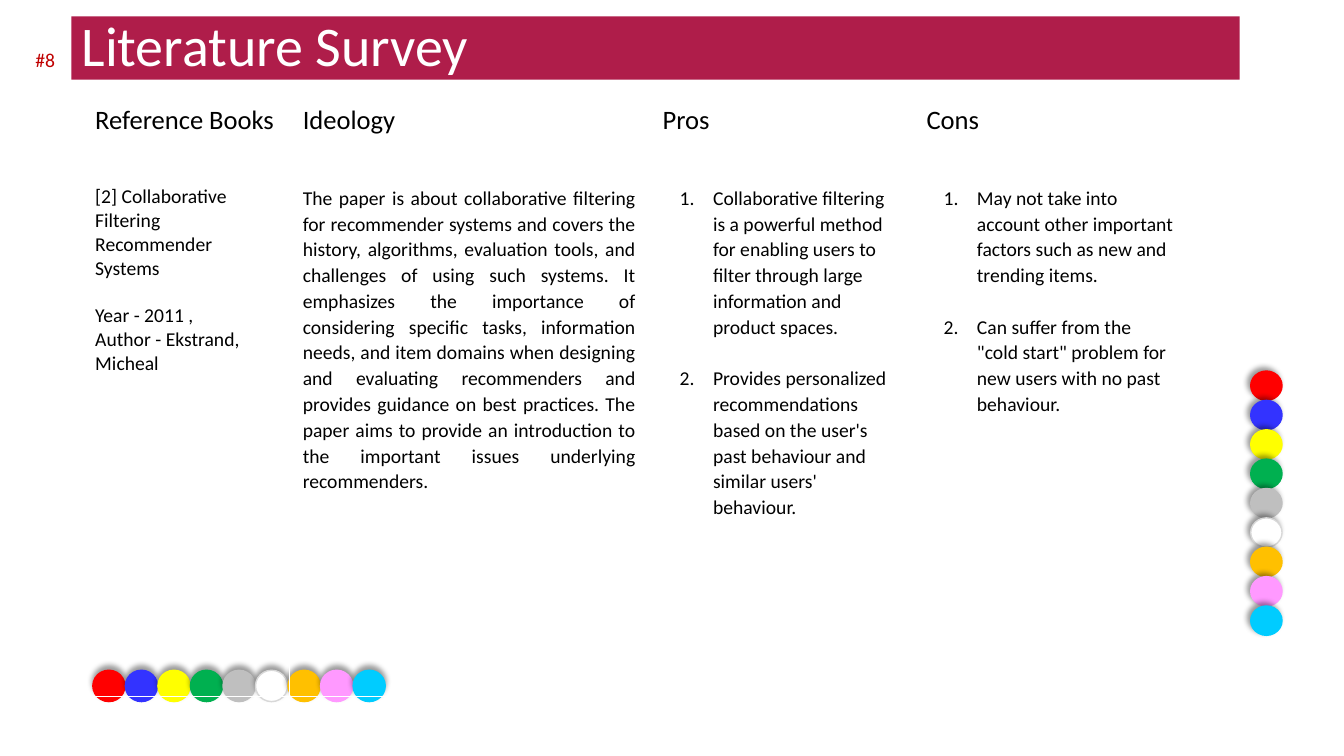
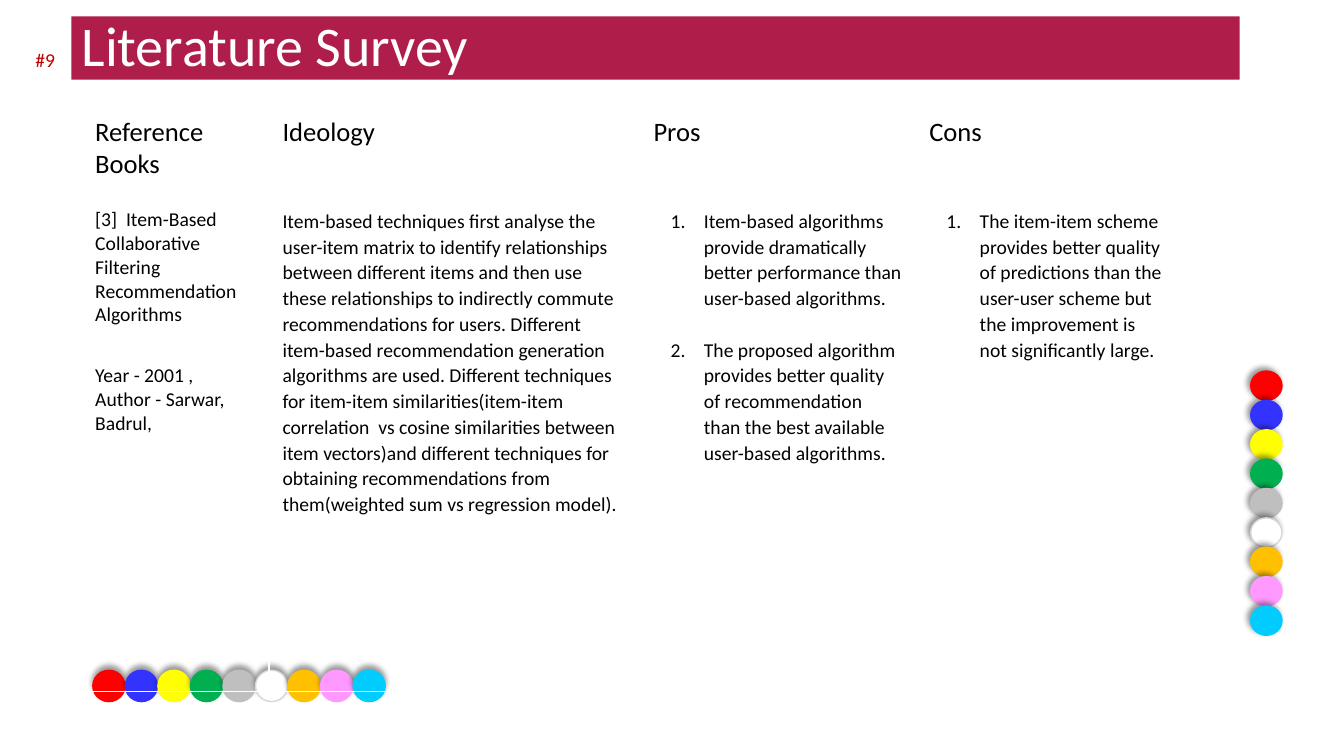
import lxml.etree
import pptx
import pptx.dml.color
import pptx.enum.shapes
import pptx.enum.text
import pptx.oxml.ns
import pptx.util

Cm = pptx.util.Cm
Pt = pptx.util.Pt
qn = pptx.oxml.ns.qn
ALIGN = pptx.enum.text.PP_ALIGN
ANCHOR = pptx.enum.text.MSO_ANCHOR

# Shared look
FONT = "Calibri"
BLACK, WHITE, CRIMSON, NUMBER_RED = "000000", "FFFFFF", "AF1D4A", "C00000"
DOT_COLOURS = ["FF0000", "3333FF", "FFFF00", "00B050", "BFBFBF",
               "FFFFFF", "FFC000", "FF99FF", "00CCFF"]
WHITE_DOT_LINE = "D8D8D8"
HEADINGS = ["Reference Books", "Ideology", "Pros", "Cons"]
CELL_MARGIN = Cm(0.34)
HEADING_SIZE, BODY_SIZE = 19, 14
LOOSE_SPACING = 1.08
LIST_GAP = 18.4

SURVEYS = [
    {
        "number": "#8",
        "top": 2.29,
        "columns": [5.23, 9.07, 6.65, 6.96],
        "rows": [2.03, 13.23],
        "reference": "[2] Collaborative Filtering Recommender Systems",
        "source": ["Year - 2011 ,", "Author - Ekstrand, Micheal"],
        "source_gap": 17,
        "ideology": "The paper is about collaborative filtering for recommender systems "
                    "and covers the history, algorithms, evaluation tools, and challenges "
                    "of using such systems. It emphasizes the importance of considering "
                    "specific tasks, information needs, and item domains when designing "
                    "and evaluating recommenders and provides guidance on best practices. "
                    "The paper aims to provide an introduction to the important issues "
                    "underlying recommenders.",
        "ideology_alignment": ALIGN.JUSTIFY,
        "pros": [
            "Collaborative filtering is a powerful method for enabling users to filter "
            "through large information and product spaces.",
            "Provides personalized recommendations based on the user's past behaviour "
            "and similar users' behaviour.",
        ],
        "cons": [
            "May not take into account other important factors such as new and "
            "trending items.",
            'Can suffer from the "cold start" problem for new users with no past '
            "behaviour.",
        ],
    },
    {
        "number": "#9",
        "top": 2.59,
        "columns": [4.72, 9.35, 6.95, 6.63],
        "rows": [2.26, 12.52],
        "reference": "[3]  Item-Based Collaborative Filtering Recommendation Algorithms",
        "source": ["Year - 2001 ,", "Author - Sarwar, Badrul,"],
        "source_gap": 26.4,
        "ideology": "Item-based techniques first analyse the user-item matrix to identify "
                    "relationships between different items and then use these "
                    "relationships to indirectly commute recommendations for users. "
                    "Different item-based recommendation generation algorithms are used. "
                    "Different techniques for item-item similarities(item-item "
                    "correlation  vs cosine similarities between item vectors)and "
                    "different techniques for obtaining recommendations from "
                    "them(weighted sum vs regression model).",
        "ideology_alignment": ALIGN.LEFT,
        "pros": [
            "Item-based algorithms provide dramatically better performance than "
            "user-based algorithms.",
            "The proposed algorithm provides better quality of recommendation than the "
            "best available user-based algorithms.",
        ],
        "cons": [
            "The item-item scheme provides better quality of predictions than the "
            "user-user scheme but the improvement is not significantly large.",
        ],
    },
]


def colour(hex_string):
    return pptx.dml.color.RGBColor.from_string(hex_string)


def add_run(paragraph, text, size, hex_string=BLACK):
    run = paragraph.add_run()
    run.text = text
    run.font.name = FONT
    run.font.size = Pt(size)
    run.font.color.rgb = colour(hex_string)


def add_shadow(shape, direction):
    """Give the shape a soft shadow cast in a direction, in degrees."""
    shape.shadow.inherit = False
    effects = shape.element.spPr.find(qn("a:effectLst"))
    shadow = lxml.etree.SubElement(
        effects, qn("a:outerShdw"), blurRad=str(Pt(4)), dist=str(Pt(3)),
        dir=str(direction * 60000), rotWithShape="0")
    tint = lxml.etree.SubElement(shadow, qn("a:srgbClr"), val=BLACK)
    lxml.etree.SubElement(tint, qn("a:alpha"), val="40000")


def add_dots(slide, left, top, step_x, step_y, width, height, shadow_direction):
    """Draw one chain of coloured dots as a group."""
    group = slide.shapes.add_group_shape()
    for index, fill in enumerate(DOT_COLOURS):
        dot = group.shapes.add_shape(
            pptx.enum.shapes.MSO_SHAPE.FLOWCHART_CONNECTOR,
            Cm(left + index * step_x), Cm(top + index * step_y), Cm(width), Cm(height))
        dot.fill.solid()
        dot.fill.fore_color.rgb = colour(fill)
        dot.line.color.rgb = colour(WHITE_DOT_LINE if fill == WHITE else fill)
        dot.line.width = Pt(1)
        add_shadow(dot, shadow_direction)
    return group


def decorate_layout(layout, slide):
    """Put the dot chains on the layout, so that every slide shows them."""
    chains = [
        add_dots(slide, 31.52, 9.35, 0, 0.74, 0.79, 0.74, 225),
        add_dots(slide, 2.34, 16.89, 0.82, 0, 0.81, 0.79, 270),
    ]
    next_id = 100
    for chain in chains:
        layout.shapes.element.append(chain.element)
        for properties in chain.element.iter(qn("p:cNvPr")):
            properties.set("id", str(next_id))
            next_id += 1


def add_title(slide, text, left, top, width, height):
    title = slide.shapes.title
    title.left, title.top, title.width, title.height = map(Cm, (left, top, width, height))
    title.fill.solid()
    title.fill.fore_color.rgb = colour(CRIMSON)
    frame = title.text_frame
    frame.auto_size = pptx.enum.text.MSO_AUTO_SIZE.NONE
    frame.vertical_anchor = ANCHOR.MIDDLE
    paragraph = frame.paragraphs[0]
    paragraph.alignment = ALIGN.LEFT
    paragraph.line_spacing = 0.9
    add_run(paragraph, text, 40, WHITE)


def add_slide_number(slide, text, left, top, width, height):
    box = slide.shapes.add_textbox(Cm(left), Cm(top), Cm(width), Cm(height))
    box.text_frame.word_wrap = True
    box.text_frame.vertical_anchor = ANCHOR.MIDDLE
    add_run(box.text_frame.paragraphs[0], text, 14, NUMBER_RED)


def number_paragraph(paragraph):
    properties = paragraph._p.get_or_add_pPr()
    properties.set("marL", str(Cm(1.27)))
    properties.set("indent", str(-Cm(0.84)))
    bullet_colour = lxml.etree.SubElement(properties, qn("a:buClr"))
    lxml.etree.SubElement(bullet_colour, qn("a:srgbClr"), val=BLACK)
    lxml.etree.SubElement(properties, qn("a:buAutoNum"), type="arabicPeriod")


def fill_reference(cell, survey):
    frame = cell.text_frame
    add_run(frame.paragraphs[0], survey["reference"], BODY_SIZE)
    paragraph = frame.add_paragraph()
    paragraph.space_before = Pt(survey["source_gap"])
    year, author = survey["source"]
    add_run(paragraph, year, BODY_SIZE)
    paragraph.add_line_break()
    add_run(paragraph, author, BODY_SIZE)


def fill_ideology(cell, survey):
    paragraph = cell.text_frame.paragraphs[0]
    paragraph.alignment = survey["ideology_alignment"]
    paragraph.line_spacing = LOOSE_SPACING
    add_run(paragraph, survey["ideology"], BODY_SIZE)


def fill_numbered_list(cell, items):
    frame = cell.text_frame
    for index, item in enumerate(items):
        paragraph = frame.add_paragraph() if index else frame.paragraphs[0]
        number_paragraph(paragraph)
        paragraph.line_spacing = LOOSE_SPACING
        if index:
            paragraph.space_before = Pt(LIST_GAP)
        add_run(paragraph, item, BODY_SIZE)


def add_survey_table(slide, survey, left, top):
    widths, heights = survey["columns"], survey["rows"]
    table = slide.shapes.add_table(
        len(heights), len(widths), Cm(left), Cm(top),
        Cm(sum(widths)), Cm(sum(heights))).table
    table.first_row = table.horz_banding = False
    for column, width in zip(table.columns, widths):
        column.width = Cm(width)
    for row, height in zip(table.rows, heights):
        row.height = Cm(height)
    for cell in table.iter_cells():
        cell.fill.background()
        cell.margin_left = cell.margin_right = CELL_MARGIN
        cell.margin_top = cell.margin_bottom = CELL_MARGIN

    # Headings, then one cell for each heading
    for index, heading in enumerate(HEADINGS):
        add_run(table.cell(0, index).text_frame.paragraphs[0], heading, HEADING_SIZE)
    fill_reference(table.cell(1, 0), survey)
    fill_ideology(table.cell(1, 1), survey)
    fill_numbered_list(table.cell(1, 2), survey["pros"])
    fill_numbered_list(table.cell(1, 3), survey["cons"])


def add_survey_slide(presentation, layout, survey):
    slide = presentation.slides.add_slide(layout)
    add_title(slide, "Literature Survey", 1.8, 0.41, 29.44, 1.6)
    add_survey_table(slide, survey, 2.06, survey["top"])
    add_slide_number(slide, survey["number"], 0.64, 0.99, 1.16, 1.02)
    return slide


def main():
    presentation = pptx.Presentation()
    presentation.slide_width = Cm(33.87)
    presentation.slide_height = Cm(19.05)
    layout = presentation.slide_layouts.get_by_name("Title Only")
    slides = [add_survey_slide(presentation, layout, survey) for survey in SURVEYS]
    decorate_layout(layout, slides[0])
    presentation.save("out.pptx")


if __name__ == "__main__":
    main()
